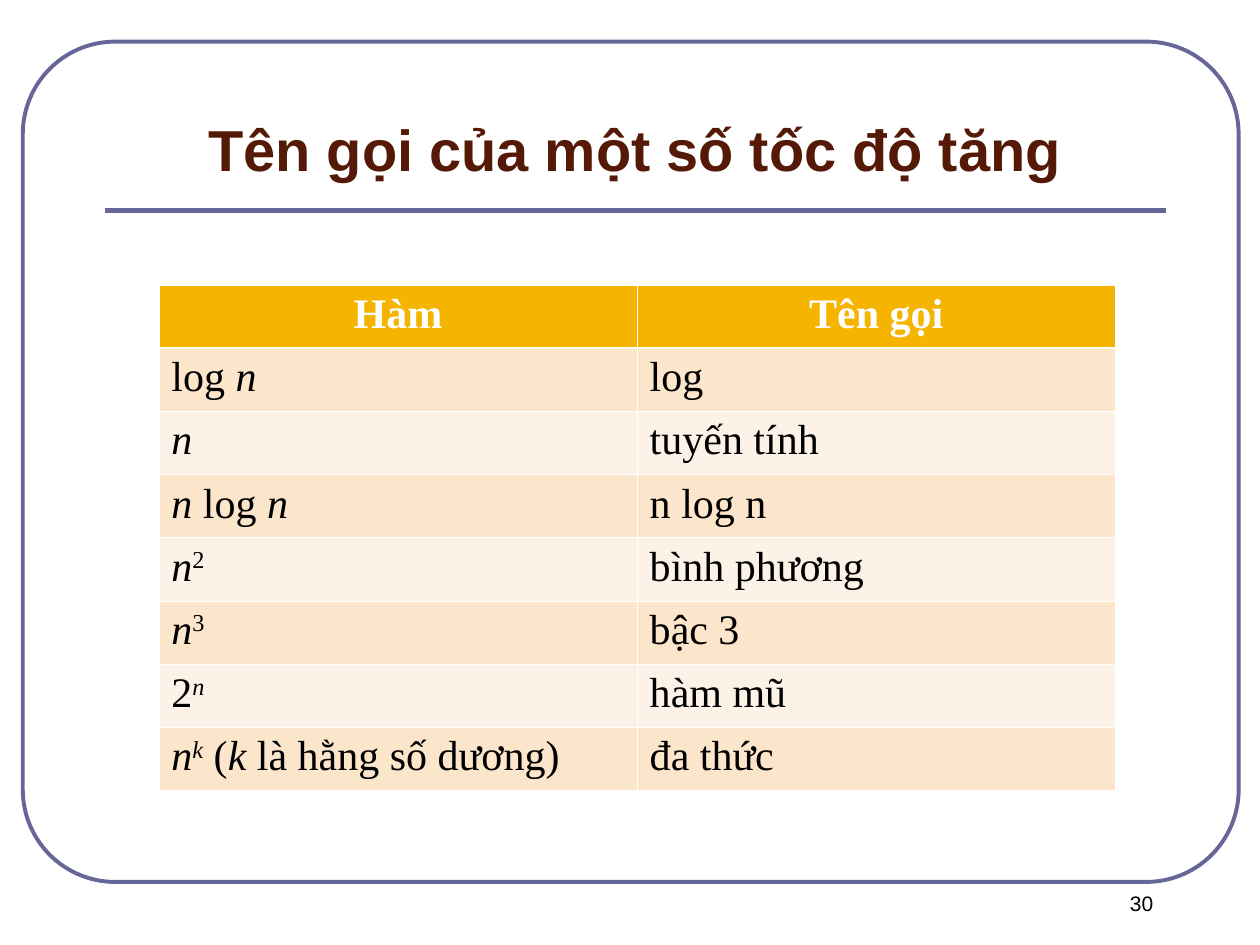
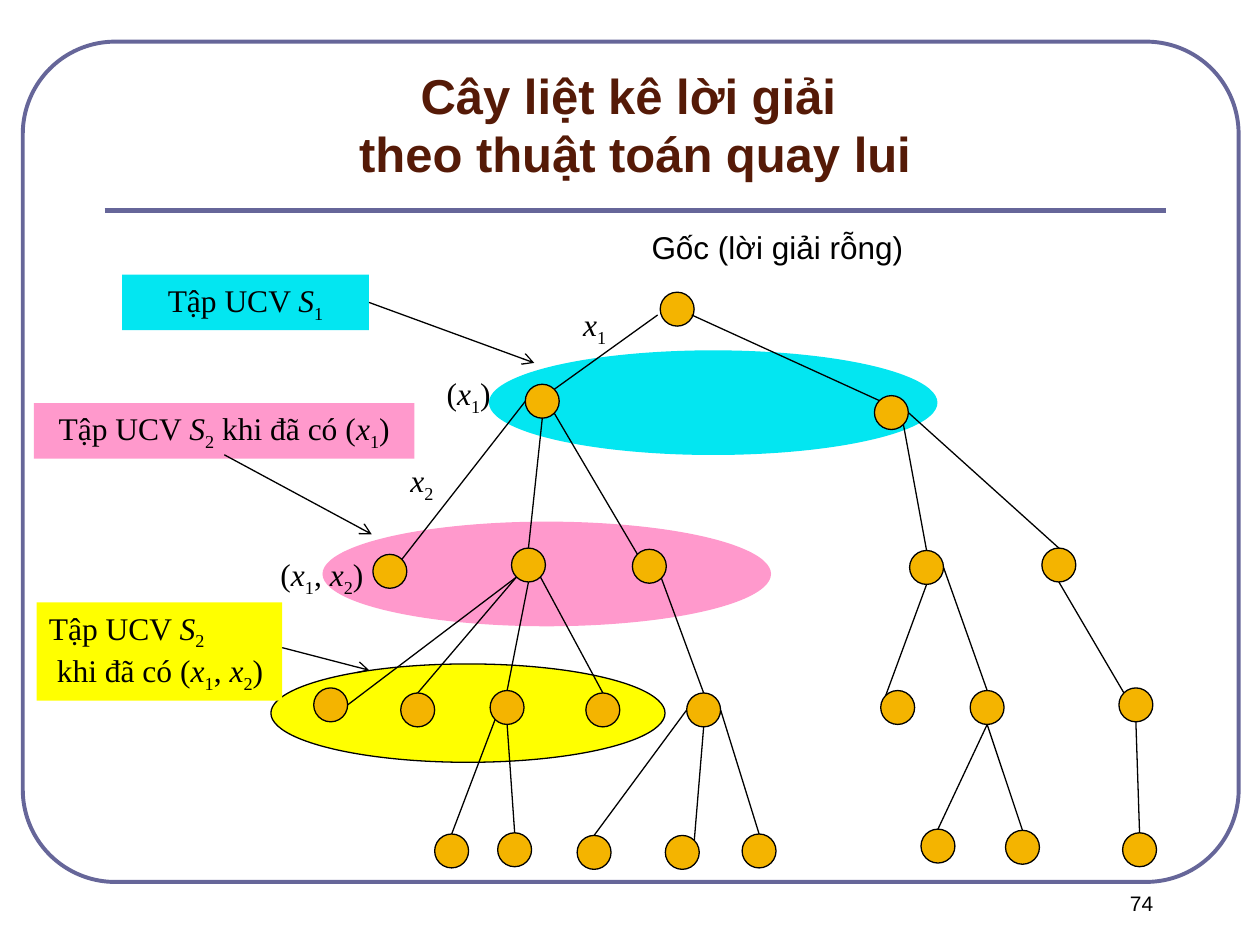
from dataclasses import dataclass
from itertools import groupby
from math import cos, radians, sin
from typing import Iterator

from lxml import etree
from pptx import Presentation
from pptx import util as u
from pptx.dml.color import RGBColor
from pptx.enum import shapes, text
from pptx.oxml import ns

Pt = u.Pt
SHAPE = shapes.MSO_SHAPE
ALIGN = text.PP_ALIGN

COLORS = {
    "frame": "666699", "title": "551A07", "ink": "000000", "white": "FFFFFF",
    "gold": "F4B400", "band_dark": "FBE5CB", "band_light": "FDF2E7",
    "cyan": "03E6F1", "pink": "FF99CC", "yellow": "FFFF00",
}
SANS, SERIF = "Arial", "Times New Roman"
SUP, SUB = 30000, -25000


@dataclass(frozen=True)
class Box:
    x: float
    y: float
    w: float
    h: float


@dataclass(frozen=True)
class Style:
    size: float
    font: str = SERIF
    color: str = "ink"
    bold: bool = False
    align: ALIGN = ALIGN.CENTER


@dataclass(frozen=True)
class Label:
    box: Box
    lines: tuple[str, ...]
    style: Style = Style(18)
    fill: str | None = None
    indent: float = 0  # left indent of the lines after the first


@dataclass(frozen=True)
class Oval:
    box: Box
    fill: str
    outlined: bool = False


@dataclass(frozen=True)
class Edge:
    parent: str
    leave: str
    child: str
    arrive: str = "T"


def rgb(name: str) -> RGBColor:
    return RGBColor.from_string(COLORS[name])


# Text: *...* is italic, ^ raises and _ lowers the next character
def marked_chars(markup: str) -> Iterator[tuple[str, bool, int]]:
    italic, shift = False, 0
    for ch in markup:
        if ch == "*":
            italic = not italic
        elif ch in "^_":
            shift = SUP if ch == "^" else SUB
        else:
            yield ch, italic, shift
            shift = 0


def write(p, markup: str, style: Style) -> None:
    p.alignment = style.align
    p.font.name, p.font.size, p.font.bold = style.font, Pt(style.size), style.bold
    p.font.color.rgb = rgb(style.color)
    for (italic, shift), chars in groupby(marked_chars(markup), lambda c: c[1:]):
        r = p.add_run()
        r.text = "".join(c[0] for c in chars)
        if italic:
            r.font.italic = True
        if shift:
            r._r.get_or_add_rPr().set("baseline", str(shift))


def add_label(s, label: Label):
    b = label.box
    sp = s.shapes.add_textbox(Pt(b.x), Pt(b.y), Pt(b.w), Pt(b.h))
    if label.fill:
        sp.fill.solid()
        sp.fill.fore_color.rgb = rgb(label.fill)
    tf = sp.text_frame
    tf.word_wrap = True
    for i, line in enumerate(label.lines):
        p = tf.add_paragraph() if i else tf.paragraphs[0]
        write(p, line, label.style)
        if i and label.indent:
            p._p.get_or_add_pPr().set("marL", str(Pt(label.indent)))
    return sp


# Shapes and lines
def add_shape(s, kind, b: Box, fill: str | None, line: str | None, width: float = 0.75):
    sp = s.shapes.add_shape(kind, Pt(b.x), Pt(b.y), Pt(b.w), Pt(b.h))
    sp.shadow.inherit = False
    if fill:
        sp.fill.solid()
        sp.fill.fore_color.rgb = rgb(fill)
    else:
        sp.fill.background()
    if line:
        sp.line.color.rgb, sp.line.width = rgb(line), Pt(width)
    else:
        sp.line.fill.background()
    return sp


def add_line(s, start, end, color: str = "ink", width: float = 0.75, arrow: bool = False):
    cx = s.shapes.add_connector(shapes.MSO_CONNECTOR.STRAIGHT, *map(Pt, (*start, *end)))
    cx.line.color.rgb, cx.line.width = rgb(color), Pt(width)
    if arrow:
        etree.SubElement(cx.line._get_or_add_ln(), ns.qn("a:tailEnd"), type="arrow")
    etree.SubElement(cx._element.spPr, ns.qn("a:effectLst"))
    return cx


# Frame, title, rule and page number of every slide
def add_slide(prs, title: tuple[str, ...], title_size: float, number: int):
    s = prs.slides.add_slide(prs.slide_layouts[6])
    frame = add_shape(s, SHAPE.ROUNDED_RECTANGLE, Box(13, 23.8, 694.8, 480.2), None, "frame", 2.25)
    frame.adjustments[0] = 0.11
    add_line(s, (59.8, 120.2), (666, 120.2), "frame", 3)
    add_label(s, Label(Box(607, 505.4, 90.7, 36), (str(number),), Style(12, SANS)))
    sp = add_label(s, Label(Box(59.8, 30.2, 606.2, 77.8), title,
                            Style(title_size, SANS, "title", True)))
    sp.text_frame.vertical_anchor = text.MSO_ANCHOR.BOTTOM
    return s


# Slide 1: growth rates
GROWTH_ROWS = [
    ("Hàm", "Tên gọi"),
    ("log *n*", "log"),
    ("*n*", "tuyến tính"),
    ("*n* log *n*", "n log n"),
    ("*n*^2", "bình phương"),
    ("*n*^3", "bậc 3"),
    ("2*^n*", "hàm mũ"),
    ("*n^k* (*k* là hằng số dương)", "đa thức"),
]


def add_borders(cell, top: float, bottom: float) -> None:
    tc_pr = cell._tc.get_or_add_tcPr()
    for side, width in zip("LRTB", (0.45, 0.45, top, bottom)):
        ln = etree.SubElement(tc_pr, ns.qn(f"a:ln{side}"), w=str(Pt(width)))
        fill = etree.SubElement(ln, ns.qn("a:solidFill"))
        etree.SubElement(fill, ns.qn("a:srgbClr"), val=COLORS["white"])


def build_growth(prs) -> None:
    s = add_slide(prs, ("Tên gọi của một số tốc độ tăng",), 33, 30)
    head = Style(24, color="white", bold=True)
    body = Style(24, align=ALIGN.LEFT)
    table = s.shapes.add_table(len(GROWTH_ROWS), 2, Pt(90.8), Pt(162.8), Pt(546.6), Pt(289)).table
    for i, row in enumerate(GROWTH_ROWS):
        table.rows[i].height = Pt(36.12)
        band = "band_dark" if i % 2 else "band_light"
        for j, markup in enumerate(row):
            cell = table.cell(i, j)
            add_borders(cell, 1.47 if i == 1 else 0.45, 0.45 if i else 1.47)
            cell.fill.solid()
            cell.fill.fore_color.rgb = rgb(band if i else "gold")
            write(cell.text_frame.paragraphs[0], markup, body if i else head)


# Slide 2: backtracking tree
NODE = 19.4
NODES = {  # left and top of each node, level by level
    "root": (377.3, 167),
    "a": (300.2, 219.6), "b": (499.7, 226.1),
    "c": (213.1, 316.8), "d": (292.3, 313.2), "e": (361.4, 313.9),
    "f": (519.8, 314.6), "g": (595.4, 313.2),
    "h": (179.3, 393.1), "i": (229, 396), "j": (280.1, 394.6), "k": (334.8, 396),
    "l": (392.4, 396), "m": (503.3, 394.6), "n": (554.4, 394.6), "o": (639.4, 393.1),
    "p": (248.4, 476.6), "q": (284.4, 475.9), "r": (329.8, 477.4), "s": (380.2, 477.4),
    "t": (424.1, 476.6), "u": (526.3, 473.8), "v": (574.6, 474.5), "w": (641.5, 475.9),
}
SITE_ANGLES = {"R": 0, "BR": 45, "B": 90, "BL": 135, "L": 180, "TL": 225, "T": 270, "TR": 315}
EDGES = [
    Edge("a", "L", "c", "TR"), Edge("a", "B", "d"), Edge("a", "BR", "e", "TL"),
    Edge("b", "R", "g"), Edge("b", "BR", "f"),
    Edge("d", "BL", "i"), Edge("d", "BL", "h", "R"), Edge("d", "B", "j"), Edge("d", "BR", "k"),
    Edge("e", "BR", "l"), Edge("f", "B", "m", "TL"), Edge("f", "R", "n"), Edge("g", "B", "o", "TL"),
    Edge("j", "BL", "p"), Edge("j", "B", "q"),
    Edge("l", "L", "r"), Edge("l", "B", "s", "TR"), Edge("l", "R", "t"),
    Edge("n", "B", "u"), Edge("n", "B", "v"), Edge("o", "B", "w"),
]
CANDIDATE_SETS = [
    Oval(Box(154.8, 379.4, 225.2, 56.2), "yellow", True),
    Oval(Box(184.3, 298.1, 256.3, 59.8), "pink"),
    Oval(Box(279.4, 200.2, 256.3, 59.8), "cyan"),
]
TREE_LABELS = [
    Label(Box(363.6, 126.7, 161.3, 28.8), ("Gốc (lời giải rỗng)",), Style(18, SANS)),
    Label(Box(319.7, 170.6, 40.3, 31.7), ("*x*_1",)),
    Label(Box(239, 210.2, 57.6, 31.7), ("(*x*_1)",)),
    Label(Box(221, 259.9, 40.3, 31.7), ("*x*_2",)),
    Label(Box(136.8, 313.9, 94.3, 31.7), ("(*x*_1, *x*_2)",)),
    Label(Box(19.4, 230.4, 217.4, 31.7), ("Tập UCV *S*_2 khi đã có (*x*_1)",), fill="pink"),
    Label(Box(20.9, 344.2, 140.4, 56.2), ("Tập UCV *S*_2", "khi đã có (*x*_1, *x*_2)"),
          Style(18, align=ALIGN.LEFT), "yellow", 4.5),
]
FIRST_SET = Label(Box(69.8, 157, 141.1, 31.7), ("Tập UCV *S*_1",), fill="cyan")


def node_site(node: str, site: str) -> tuple[float, float]:
    x, y = NODES[node]
    angle, radius = radians(SITE_ANGLES[site]), NODE / 2
    return x + radius * (1 + cos(angle)), y + radius * (1 + sin(angle))


def build_tree(prs) -> None:
    s = add_slide(prs, ("Cây liệt kê lời giải ", "theo thuật toán quay lui"), 28, 74)
    for oval in CANDIDATE_SETS:
        add_shape(s, SHAPE.OVAL, oval.box, oval.fill, "ink" if oval.outlined else None)
    for x, y in NODES.values():
        add_shape(s, SHAPE.OVAL, Box(x, y, NODE, NODE), "gold", "ink")

    # Branches
    add_line(s, (375.8, 180), node_site("a", "TR"))
    add_line(s, (395.3, 180), node_site("b", "TL"))
    for e in EDGES:
        add_line(s, node_site(e.parent, e.leave), node_site(e.child, e.arrive))

    # Labels and their arrows
    for label in TREE_LABELS:
        add_label(s, label)
    first_set = add_label(s, FIRST_SET)
    add_line(s, (210.9, 172.85), (305.3, 207.4), arrow=True).begin_connect(first_set, 3)
    add_line(s, (128.2, 259.9), (212.4, 305.3), arrow=True)
    add_line(s, (161.3, 370.1), (211, 383), arrow=True)


def main() -> None:
    prs = Presentation()
    prs.slide_width, prs.slide_height = Pt(720), Pt(540)
    build_growth(prs)
    build_tree(prs)
    prs.save("out.pptx")


if __name__ == "__main__":
    main()
